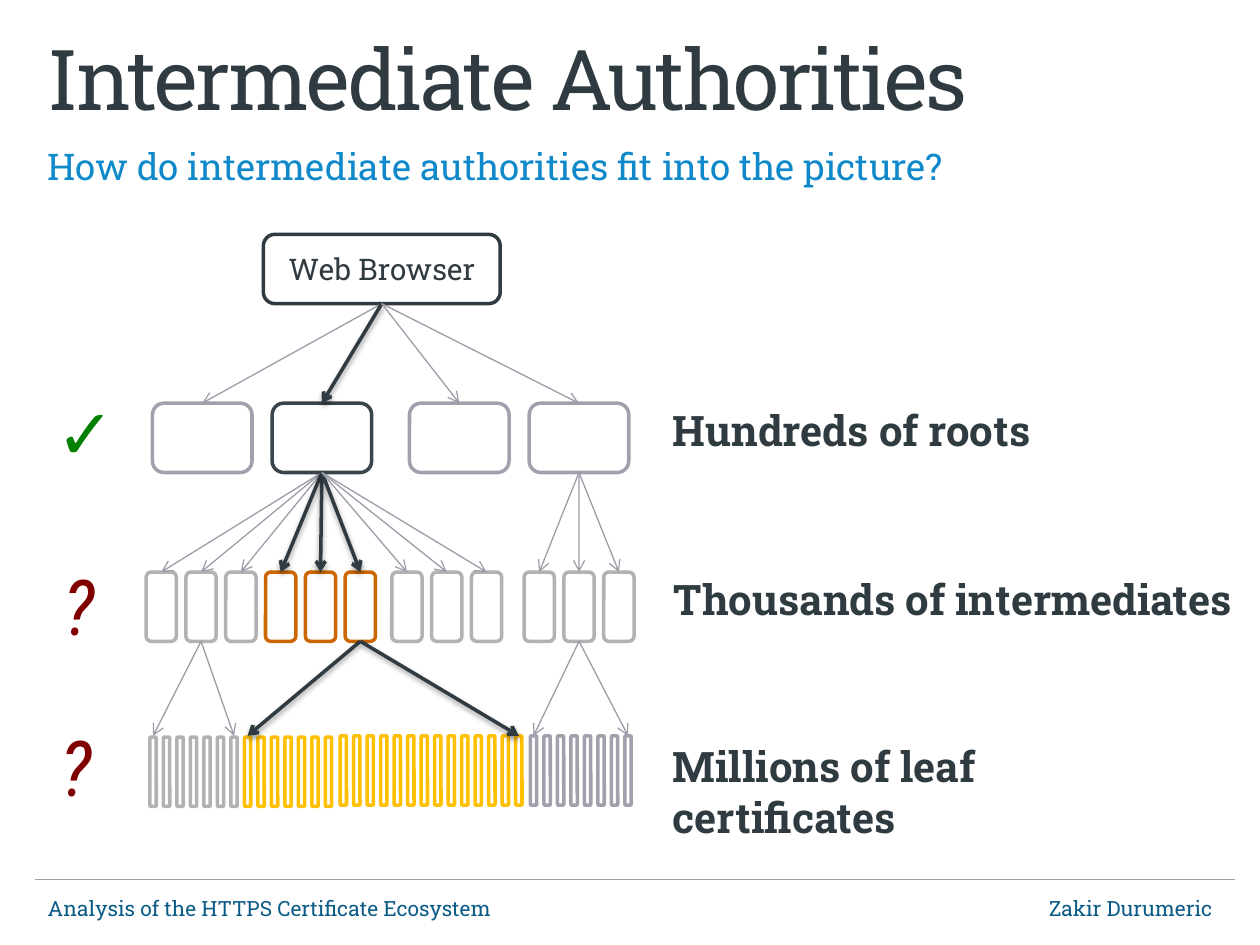
"""Build the slide on intermediate certificate authorities."""
from dataclasses import dataclass

from lxml import etree
from pptx import Presentation
from pptx.dml.color import RGBColor
from pptx.enum.shapes import MSO_CONNECTOR, MSO_SHAPE
from pptx.enum.text import MSO_ANCHOR, PP_ALIGN
from pptx.oxml.ns import qn
from pptx.util import Inches, Pt

STRAIGHT = MSO_CONNECTOR.STRAIGHT
ROUNDED = MSO_SHAPE.ROUNDED_RECTANGLE
TOP, MIDDLE = MSO_ANCHOR.TOP, MSO_ANCHOR.MIDDLE
LEFT, CENTER, RIGHT = PP_ALIGN.LEFT, PP_ALIGN.CENTER, PP_ALIGN.RIGHT


@dataclass(frozen=True)
class Theme:
    slab: str = "Roboto Slab"
    condensed: str = "Roboto Condensed"
    symbol: str = "Arial"
    white: str = "FFFFFF"
    ink: str = "303B41"
    selected: str = "3A454B"
    blue: str = "1089CA"
    footer: str = "0B5B87"
    muted: str = "A1A1AD"
    arrow: str = "9D9DA9"
    grey: str = "B2B2B3"
    orange: str = "CC6600"
    yellow: str = "FFC000"
    green: str = "008000"
    red: str = "800000"
    title_size: float = 48
    question_size: float = 44
    check_size: float = 40
    label_size: float = 24
    subtitle_size: float = 21
    box_size: float = 17
    footer_size: float = 12
    thick: float = 2
    thin: float = 0.75


class SlideBuilder:
    """Hold the theme and the current slide, and draw each kind of element."""

    def __init__(self, slide, theme):
        self.slide = slide
        self.theme = theme

    def fill_text(self, frame, text, size, color, align=LEFT, font=None, bold=False, italic=False):
        frame.word_wrap = True
        paragraph = frame.paragraphs[0]
        paragraph.text = text
        paragraph.alignment = align
        style = paragraph.font
        style.name = font or self.theme.slab
        style.size = Pt(size)
        style.bold = bold
        style.italic = italic
        style.color.rgb = RGBColor.from_string(color)
        return paragraph

    def title(self, text, left, top, width, height):
        title = self.slide.shapes.title
        title.left, title.top = Inches(left), Inches(top)
        title.width, title.height = Inches(width), Inches(height)
        frame = title.text_frame
        frame.vertical_anchor = TOP
        frame.margin_top = 0
        paragraph = self.fill_text(frame, text, self.theme.title_size, self.theme.ink)
        paragraph.runs[0].font._element.set("spc", "-150")

    def text(self, text, left, top, width, height, size, color, **style):
        box = self.slide.shapes.add_textbox(
            Inches(left), Inches(top), Inches(width), Inches(height))
        return self.fill_text(box.text_frame, text, size, color, **style)

    def box(self, left, top, width, height, color):
        box = self.slide.shapes.add_shape(
            ROUNDED, Inches(left), Inches(top), Inches(width), Inches(height))
        box.shadow.inherit = False
        box.fill.solid()
        box.fill.fore_color.rgb = RGBColor.from_string(self.theme.white)
        box.line.color.rgb = RGBColor.from_string(color)
        box.line.width = Pt(self.theme.thick)
        return box

    def row(self, start, top, pitch, width, height, colors):
        """Draw evenly spaced boxes and return their centres."""
        lefts = [start + pitch * index for index in range(len(colors))]
        for left, color in zip(lefts, colors):
            self.box(left, top, width, height, color)
        return [left + width / 2 for left in lefts]

    def line(self, start, end, color, width):
        line = self.slide.shapes.add_connector(STRAIGHT, *map(Inches, start + end))
        line.line.color.rgb = RGBColor.from_string(color)
        line.line.width = Pt(width)
        effects = etree.SubElement(line._element.spPr, qn("a:effectLst"))
        return line, effects

    def arrow(self, start, end, strong=False):
        theme = self.theme
        color, width = (theme.ink, theme.thick) if strong else (theme.arrow, theme.thin)
        line, effects = self.line(start, end, color, width)
        outline = line._element.spPr.find(qn("a:ln"))
        etree.SubElement(outline, qn("a:tailEnd"), type="arrow")
        if strong:
            shadow = etree.SubElement(effects, qn("a:outerShdw"), blurRad="40000",
                                      dist="20000", dir="5400000", rotWithShape="0")
            black = etree.SubElement(shadow, qn("a:srgbClr"), val="000000")
            etree.SubElement(black, qn("a:alpha"), val="38000")

    def fan(self, start, ends, top, strong=()):
        for index, end in enumerate(ends):
            self.arrow(start, (end, top), index in strong)


def draw_tree(page):
    theme = page.theme
    height = 0.55
    browser_top, root_top, middle_top, leaf_top = 1.86, 3.2, 4.54, 5.84
    browser = page.box(2.09, browser_top, 1.88, height, theme.ink)
    browser.text_frame.vertical_anchor = MIDDLE
    page.fill_text(browser.text_frame, "Web Browser", theme.box_size, theme.ink, CENTER)

    roots = []
    for start, colors in ((1.21, [theme.muted, theme.selected]), (3.25, [theme.muted] * 2)):
        roots += page.row(start, root_top, 0.95, 0.79, height, colors)

    middles = []
    for start, colors in ((1.16, [theme.grey] * 3 + [theme.orange] * 3),
                          (3.11, [theme.grey] * 3), (4.16, [theme.grey] * 3)):
        middles += page.row(start, middle_top, 1.58 / 5, 0.24, height, colors)

    grey, yellow, more_yellow, muted = [
        page.row(start, top, 0.75 / 7, 0.05, height, [color] * count)
        for start, top, count, color in (
            (1.19, leaf_top + 0.01, 7, theme.grey), (1.94, leaf_top + 0.01, 7, theme.yellow),
            (2.7, leaf_top, 14, theme.yellow), (4.21, leaf_top, 8, theme.muted))]

    page.fan((3.03, browser_top + height), roots, root_top, strong=(1,))
    page.fan((roots[1], root_top + height), middles[:9], middle_top, strong=(3, 4, 5))
    page.fan((roots[3], root_top + height), middles[9:], middle_top)
    for parent, first, last, strong in (
            (middles[1], grey[0], grey[-1], ()),
            (middles[5], yellow[0], more_yellow[-1], (0, 1)),
            (middles[10], muted[0], muted[-1], ())):
        page.fan((parent, middle_top + height), (first, last), leaf_top, strong)


def main():
    theme = Theme()
    deck = Presentation()
    deck.slide_width, deck.slide_height = Inches(10), Inches(7.5)
    page = SlideBuilder(deck.slides.add_slide(deck.slide_layouts[5]), theme)

    page.line((0.28, 6.98), (9.8, 6.98), theme.muted, theme.thin)
    for text, left, align in (("Analysis of the HTTPS Certificate Ecosystem", 0.28, LEFT),
                              ("Zakir Durumeric", 3.5, RIGHT)):
        page.text(text, left, 7.06, 6.22, 0.31, theme.footer_size, theme.footer, align=align)

    page.title("Intermediate Authorities", 0.28, 0.21, 8.82, 0.79)
    subtitle = page.text("How do intermediate authorities fit into the picture?",
                         0.28, 0.99, 8.82, 0.39, theme.subtitle_size, theme.blue)
    subtitle.line_spacing = 1.3

    draw_tree(page)

    page.text("✓", 0.35, 3.04, 0.63, 0.77, theme.check_size, theme.green,
              align=CENTER, font=theme.symbol)
    for left, top in ((0.3, 4.38), (0.28, 5.66)):
        page.text("?", left, top, 0.65, 0.84, theme.question_size, theme.red,
                  align=CENTER, font=theme.condensed, italic=True)
    for text, left, top, width in (("Hundreds of roots", 5.24, 3.16, 3.12),
                                   ("Thousands of intermediates", 5.25, 4.5, 4.69),
                                   ("Millions of leaf certificates", 5.24, 5.83, 4.41)):
        page.text(text, left, top, width, 0.5, theme.label_size, theme.ink, bold=True)

    deck.save("out.pptx")


if __name__ == "__main__":
    main()
